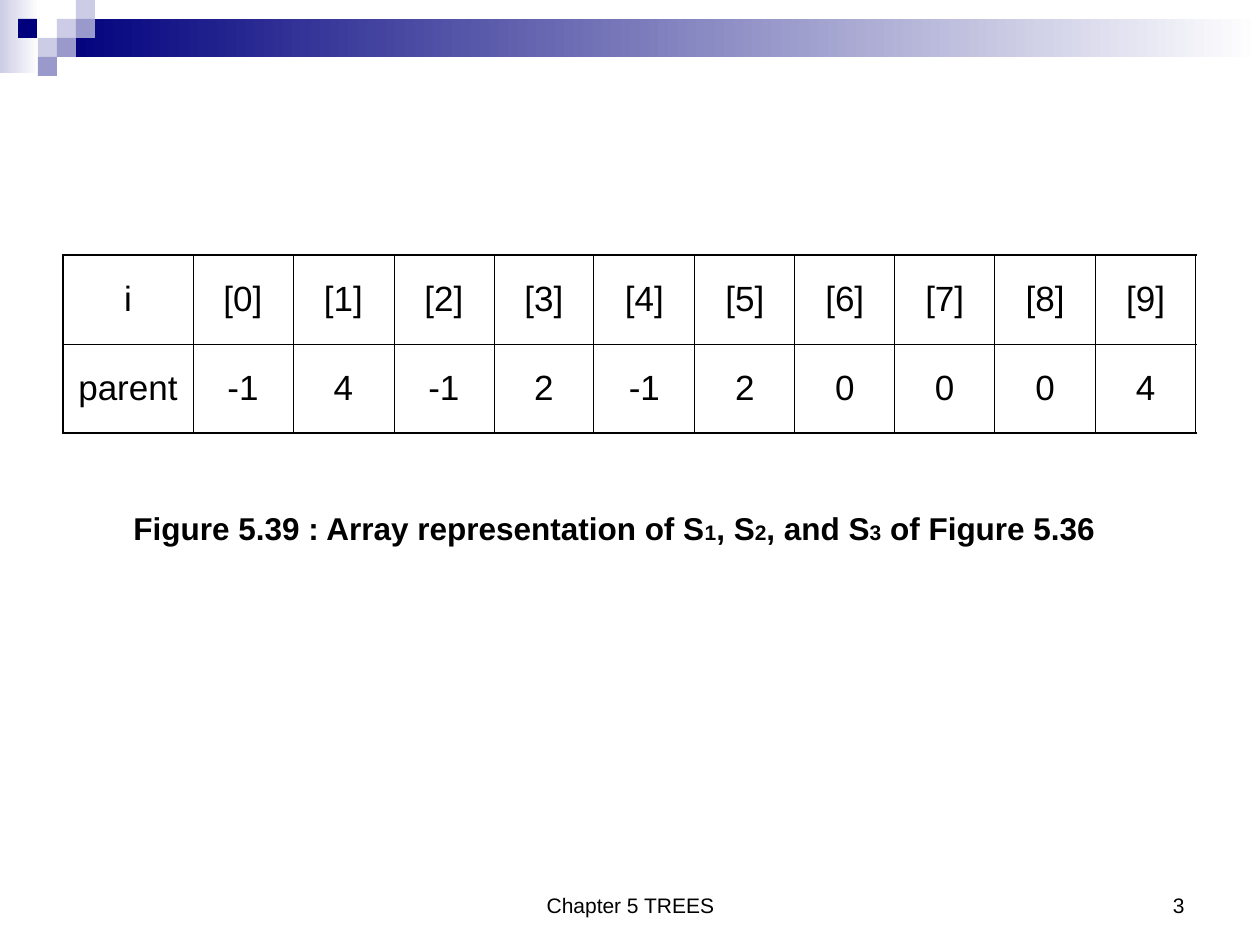
from dataclasses import dataclass

import lxml.etree
import pptx
import pptx.dml.color
import pptx.enum.shapes
import pptx.enum.text
import pptx.oxml.ns
import pptx.util

EMU_PER_PX = 914400 / 126
ALIGN = pptx.enum.text.PP_ALIGN
ANCHOR = pptx.enum.text.MSO_ANCHOR
AUTO_SIZE = pptx.enum.text.MSO_AUTO_SIZE


@dataclass(frozen=True)
class Theme:
    font: str = "Arial"
    ink: str = "000000"
    paper: str = "FFFFFF"
    navy: str = "00007D"
    mid: str = "9999CC"
    pale: str = "CCCCE6"
    table_size: int = 20
    caption_size: int = 18
    small_size: int = 12
    cell_space: int = 5
    outer_line: float = 1.08
    inner_line: float = 0.45


@dataclass(frozen=True)
class Area:
    left: int
    top: int
    width: int
    height: int

    def emu(self) -> tuple:
        return tuple(map(px, (self.left, self.top, self.width, self.height)))


@dataclass(frozen=True)
class Block:
    area: Area
    color: str
    fades: bool = False


@dataclass(frozen=True)
class Span:
    text: str
    size: int
    bold: bool = False


@dataclass(frozen=True)
class Label:
    area: Area
    spans: list
    align: ALIGN
    anchor: ANCHOR
    wraps: bool = True


THEME = Theme()
TILE = 19

BLOCKS = [
    Block(Area(0, 0, 39, 73), THEME.pale, fades=True),
    Block(Area(57, TILE, 1203, 2 * TILE), THEME.navy, fades=True),
] + [
    Block(Area(left, row * TILE, TILE, TILE), color)
    for left, row, color in [
        (57, 1, THEME.pale),
        (76, 0, THEME.pale),
        (76, 1, THEME.mid),
        (38, 2, THEME.pale),
        (18, 1, THEME.navy),
        (57, 2, THEME.mid),
        (38, 3, THEME.mid),
    ]
]

PARENTS = [-1, 4, -1, 2, -1, 2, 0, 0, 0, 4]
TABLE_ROWS = [
    ["i"] + [f"[{index}]" for index in range(len(PARENTS))],
    ["parent"] + [str(parent) for parent in PARENTS],
]
TABLE_AREA = Area(63, 255, 1133, 178)
HEAD_WIDTH = 130

CAPTION = [
    Span(text, THEME.small_size if text.isdigit() else THEME.caption_size, bold=True)
    for text in (
        "Figure 5.39 : Array representation of S", "1", ", S", "2",
        ", and S", "3", " of Figure 5.36",
    )
]
LABELS = [
    Label(Area(121, 503, 988, 50), CAPTION, ALIGN.LEFT, ANCHOR.TOP, wraps=False),
    Label(Area(431, 861, 399, 63), [Span("Chapter 5 TREES", THEME.small_size)],
          ALIGN.CENTER, ANCHOR.BOTTOM),
    Label(Area(903, 861, 294, 63), [Span("3", THEME.small_size)],
          ALIGN.RIGHT, ANCHOR.BOTTOM),
]


def px(length: int) -> pptx.util.Emu:
    return pptx.util.Emu(round(length * EMU_PER_PX))


def rgb(color: str) -> pptx.dml.color.RGBColor:
    return pptx.dml.color.RGBColor.from_string(color)


def add_span(para, span: Span) -> None:
    run = para.add_run()
    run.text = span.text
    run.font.name = THEME.font
    run.font.size = pptx.util.Pt(span.size)
    run.font.bold = span.bold
    run.font.color.rgb = rgb(THEME.ink)


def draw_block(slide, block: Block) -> None:
    shape = slide.shapes.add_shape(
        pptx.enum.shapes.MSO_SHAPE.RECTANGLE, *block.area.emu())
    shape.shadow.inherit = False
    shape.line.fill.background()
    if block.fades:
        shape.fill.gradient()
        shape.fill.gradient_angle = 0
        for stop, color in zip(shape.fill.gradient_stops, (block.color, THEME.paper)):
            stop.color.rgb = rgb(color)
    else:
        shape.fill.solid()
        shape.fill.fore_color.rgb = rgb(block.color)


def draw_label(slide, label: Label) -> None:
    box = slide.shapes.add_textbox(*label.area.emu())
    frame = box.text_frame
    frame.word_wrap = label.wraps
    frame.auto_size = AUTO_SIZE.NONE if label.wraps else AUTO_SIZE.SHAPE_TO_FIT_TEXT
    frame.vertical_anchor = label.anchor
    para = frame.paragraphs[0]
    para.alignment = label.align
    for span in label.spans:
        add_span(para, span)


def add_border(cell, side: str, width: float) -> None:
    qn = pptx.oxml.ns.qn
    properties = cell._tc.get_or_add_tcPr()
    line = lxml.etree.SubElement(
        properties, qn(f"a:ln{side}"), w=str(pptx.util.Pt(width)))
    fill = lxml.etree.SubElement(line, qn("a:solidFill"))
    lxml.etree.SubElement(fill, qn("a:srgbClr"), val=THEME.ink)


def draw_table(slide, rows: list, area: Area) -> None:
    row_count, column_count = len(rows), len(rows[0])
    table = slide.shapes.add_table(row_count, column_count, *area.emu()).table
    table.first_row = False
    table.horz_banding = False
    index_width = (area.width - HEAD_WIDTH) / (column_count - 1)
    edges = [0] + [round(HEAD_WIDTH + step * index_width) for step in range(column_count)]
    for column, start, end in zip(table.columns, edges, edges[1:]):
        column.width = px(end - start)
    for row in table.rows:
        row.height = px(area.height // row_count)
    for r, texts in enumerate(rows):
        for c, text in enumerate(texts):
            cell = table.cell(r, c)
            outer_sides = {
                "L": c == 0,
                "R": c == column_count - 1,
                "T": r == 0,
                "B": r == row_count - 1,
            }
            for side, outer in outer_sides.items():
                add_border(cell, side, THEME.outer_line if outer else THEME.inner_line)
            cell.fill.background()
            cell.vertical_anchor = ANCHOR.MIDDLE
            para = cell.text_frame.paragraphs[0]
            para.alignment = ALIGN.CENTER
            para.space_before = pptx.util.Pt(THEME.cell_space)
            add_span(para, Span(text, THEME.table_size))


def main() -> None:
    deck = pptx.Presentation()
    deck.slide_width, deck.slide_height = px(1260), px(945)
    page = deck.slides.add_slide(deck.slide_layouts[6])
    for block in BLOCKS:
        draw_block(page, block)
    draw_table(page, TABLE_ROWS, TABLE_AREA)
    for label in LABELS:
        draw_label(page, label)
    deck.save("out.pptx")


if __name__ == "__main__":
    main()
